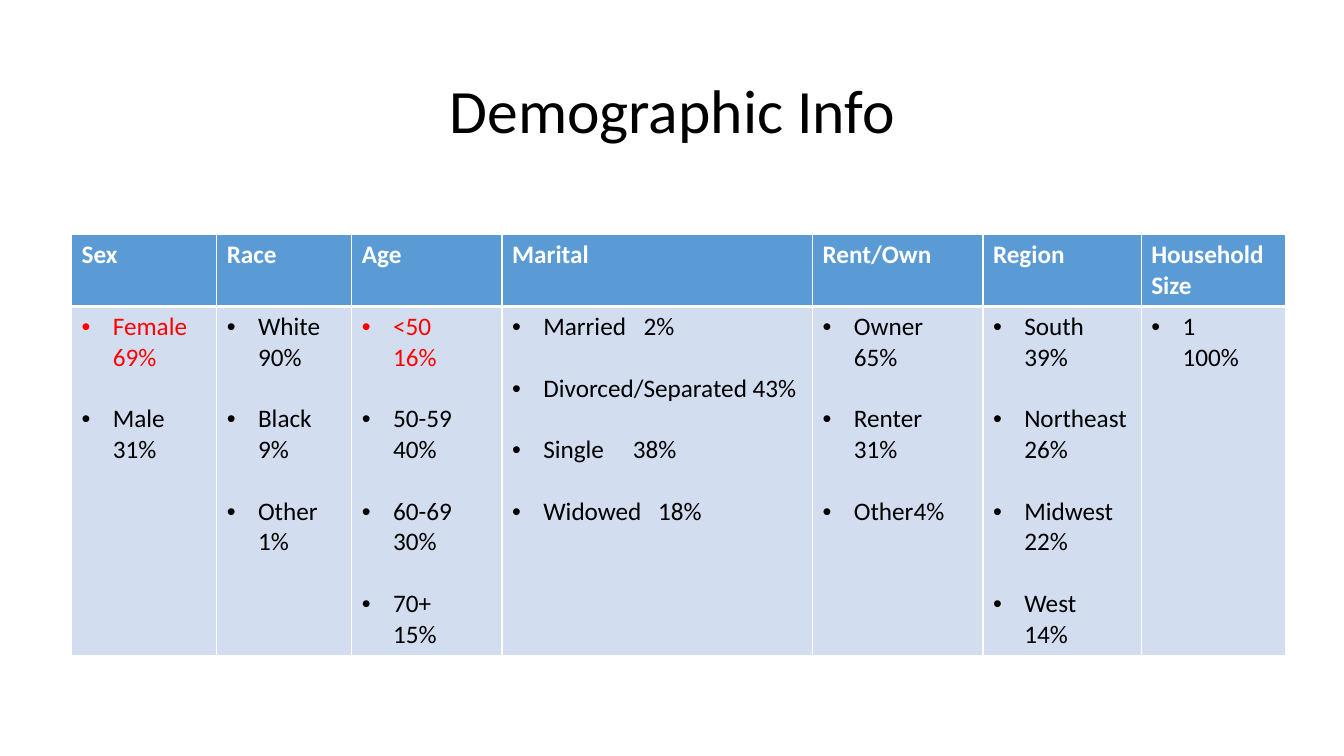
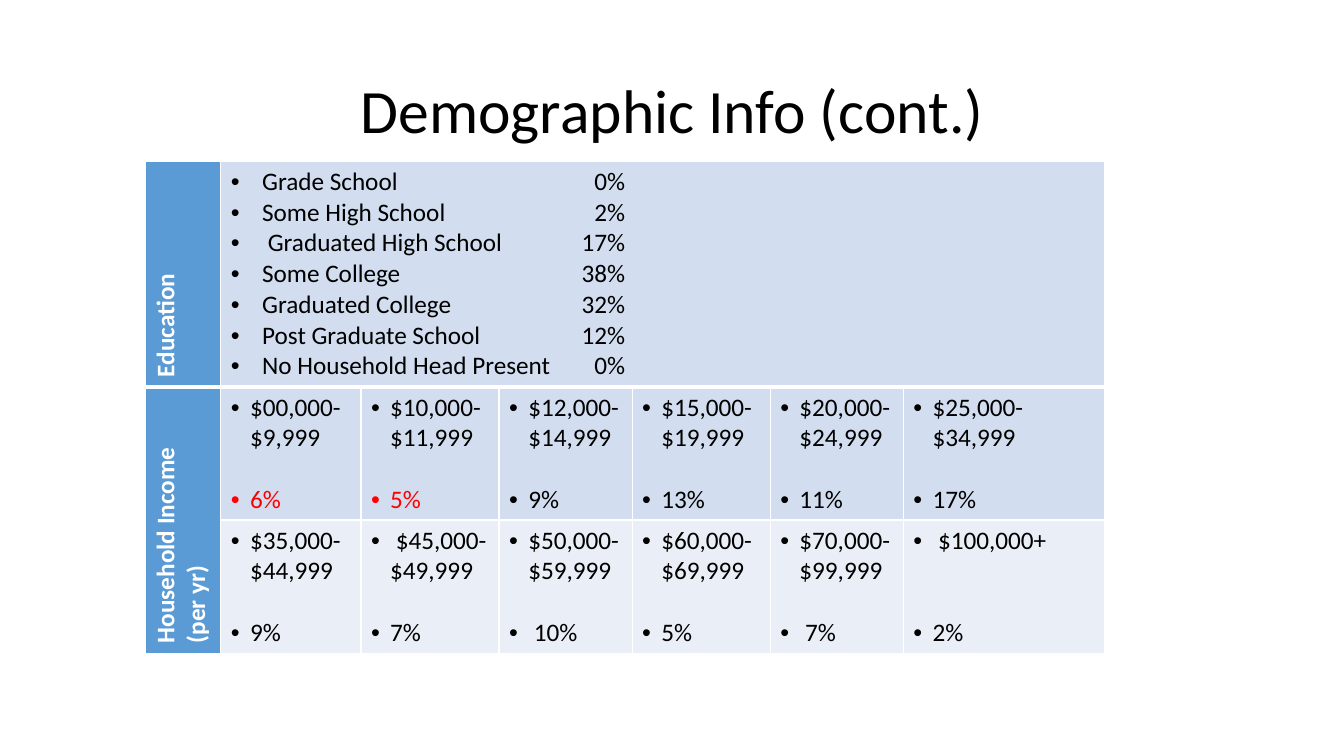
"""Build two slides of demographic tables."""
from lxml.etree import SubElement
from pptx import Presentation
from pptx.dml.color import RGBColor as RGB
from pptx.enum.text import MSO_ANCHOR as ANCHOR, PP_ALIGN as ALIGN
from pptx.oxml.ns import qn
from pptx.util import Pt

PX = 9144
COLORS = {"text": "000000", "white": "FFFFFF", "red": "FF0000",
          "header": "5B9BD5", "band": "D2DEEF", "light": "EAEFF7"}
BODY = {"name": "Calibri", "size": Pt(18), "bold": False}
HEAD = {**BODY, "bold": True}
TITLE = {**BODY, "size": Pt(44)}
LINE = 22
TABS = {"Married": 161, "Single": 163, "Widowed": 188, "Other": 138}
EDUCATION_TAB = 391


def add_grid(s, x, y, cols, rows):
    """Add a table with white rules, the one under the first row thicker."""
    tbl = s.shapes.add_table(len(rows), len(cols), x * PX, y * PX,
                             sum(cols) * PX, sum(rows) * PX).table
    tbl.first_row = tbl.horz_banding = False
    for col, w in zip(tbl.columns, cols):
        col.width = w * PX
    for row, h in zip(tbl.rows, rows):
        row.height = h * PX
    for i, row in enumerate(tbl.rows):
        for cell in row.cells:
            tc_pr = cell._tc.get_or_add_tcPr()
            for side in "LRTB":
                thick = (i, side) in ((0, "B"), (1, "T"))
                ln = SubElement(tc_pr, qn(f"a:ln{side}"), w=str(Pt(3 if thick else 1)))
                fill = SubElement(ln, qn("a:solidFill"))
                SubElement(fill, qn("a:srgbClr"), val=COLORS["white"])
    return tbl


def write(cell, texts, fill, indent=0, gap=0, font=BODY, color="text", red=()):
    """Fill a cell with one paragraph per text, bulleted when indented."""
    cell.fill.solid()
    cell.fill.fore_color.rgb = RGB.from_string(COLORS[fill])
    tf = cell.text_frame
    for i, text in enumerate(texts):
        p = tf.paragraphs[0] if i == 0 else tf.add_paragraph()
        p.text = text
        p.space_before = Pt(gap if i else 0)
        p_pr = p._p.get_or_add_pPr()
        if indent:
            p_pr.set("marL", str(indent * PX))
            p_pr.set("indent", str(-indent * PX))
            SubElement(p_pr, qn("a:buFont"), typeface="Arial")
            SubElement(p_pr, qn("a:buChar"), char="•")
        if "\t" in text:
            stop = TABS.get(text.split("\t")[0], EDUCATION_TAB)
            tabs = SubElement(p_pr, qn("a:tabLst"))
            SubElement(tabs, qn("a:tab"), pos=str(stop * PX), algn="r")
        for r in p.runs:
            for key, value in font.items():
                setattr(r.font, key, value)
            r.font.color.rgb = RGB.from_string(COLORS["red" if i in red else color])


prs = Presentation()
prs.slide_width, prs.slide_height = 1333 * PX, 750 * PX

slides = []
for title in ("Demographic Info", "Demographic Info (cont.)"):
    s = prs.slides.add_slide(prs.slide_layouts[6])
    tf = s.shapes.add_textbox(92 * PX, 40 * PX, 1150 * PX, 145 * PX).text_frame
    tf.word_wrap, tf.vertical_anchor = True, ANCHOR.MIDDLE
    p = tf.paragraphs[0]
    p.alignment, p.line_spacing = ALIGN.CENTER, 0.9
    r = p.add_run()
    r.text = title
    for key, value in TITLE.items():
        setattr(r.font, key, value)
    r.font.color.rgb = RGB.from_string(COLORS["text"])
    slides.append(s)

groups = [
    ("Sex", 144, ["Female\v69%", "Male\v31%"]),
    ("Race", 134, ["White\v90%", "Black\v9%", "Other\v1%"]),
    ("Age", 149, ["<50\v16%", "50-59\v40%", "60-69\v30%", "70+\v15%"]),
    ("Marital", 308, ["Married\t2%", "Divorced/Separated 43%", "Single\t38%", "Widowed\t18%"]),
    ("Rent/Own", 169, ["Owner\v65%", "Renter\v31%", "Other\t4%"]),
    ("Region", 157, ["South\v39%", "Northeast\v26%", "Midwest\v22%", "West\v14%"]),
    ("Household Size", 143, ["1\v100%"]),
]
tbl = add_grid(slides[0], 71, 233, [w for _, w, _ in groups], [71, 346])
for c, (name, _, items) in enumerate(groups):
    write(tbl.cell(0, c), [name], "header", font=HEAD, color="white")
    write(tbl.cell(1, c), items, "band", indent=31, gap=LINE,
          red=(0,) if name in ("Sex", "Age") else ())

education = ["Grade School\t0%", "Some High School\t2%", " Graduated High School\t17%",
             "Some College\t38%", "Graduated College\t32%", "Post Graduate School\t12%",
             "No Household Head Present\t0%"]
incomes = [
    [("$00,000-$9,999", "6%"), ("$10,000-$11,999", "5%"), ("$12,000-$14,999", "9%"),
     ("$15,000-$19,999", "13%"), ("$20,000-$24,999", "11%"), ("$25,000-$34,999", "17%")],
    [("$35,000-$44,999", "9%"), (" $45,000-$49,999", "7%"), ("$50,000-$59,999", " 10%"),
     ("$60,000-$69,999", "5%"), ("$70,000-$99,999", " 7%"), (" $100,000+", "2%")],
]
tbl = add_grid(slides[1], 144, 160, [75, 139, 137, 132, 137, 132, 200], [224, 132, 132])
tbl.cell(0, 1).merge(tbl.cell(0, 6))
tbl.cell(1, 0).merge(tbl.cell(2, 0))
for i, label in enumerate((["Education"], ["Household Income", "(per yr)"])):
    write(tbl.cell(i, 0), label, "header", font=HEAD, color="white")
    tbl.cell(i, 0)._tc.get_or_add_tcPr().set("vert", "vert270")
write(tbl.cell(0, 1), education, "band", indent=31)
for i, (fill, row) in enumerate(zip(("band", "light"), incomes), 1):
    for c, pair in enumerate(row, 1):
        write(tbl.cell(i, c), pair, fill, indent=19,
              gap=LINE if "-" in pair[0] else 2 * LINE,
              red=(1,) if i == 1 and c < 3 else ())

prs.save("out.pptx")
